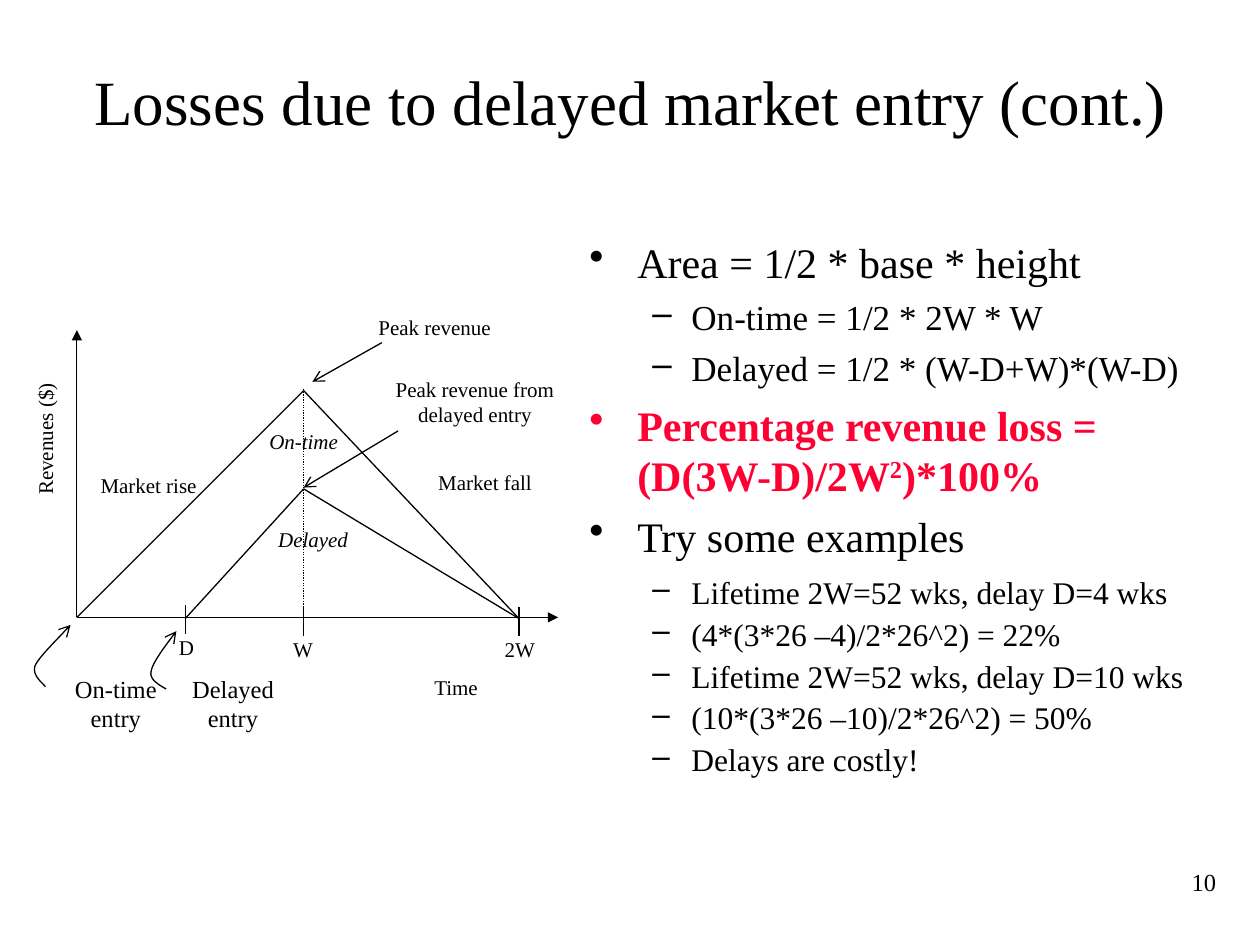
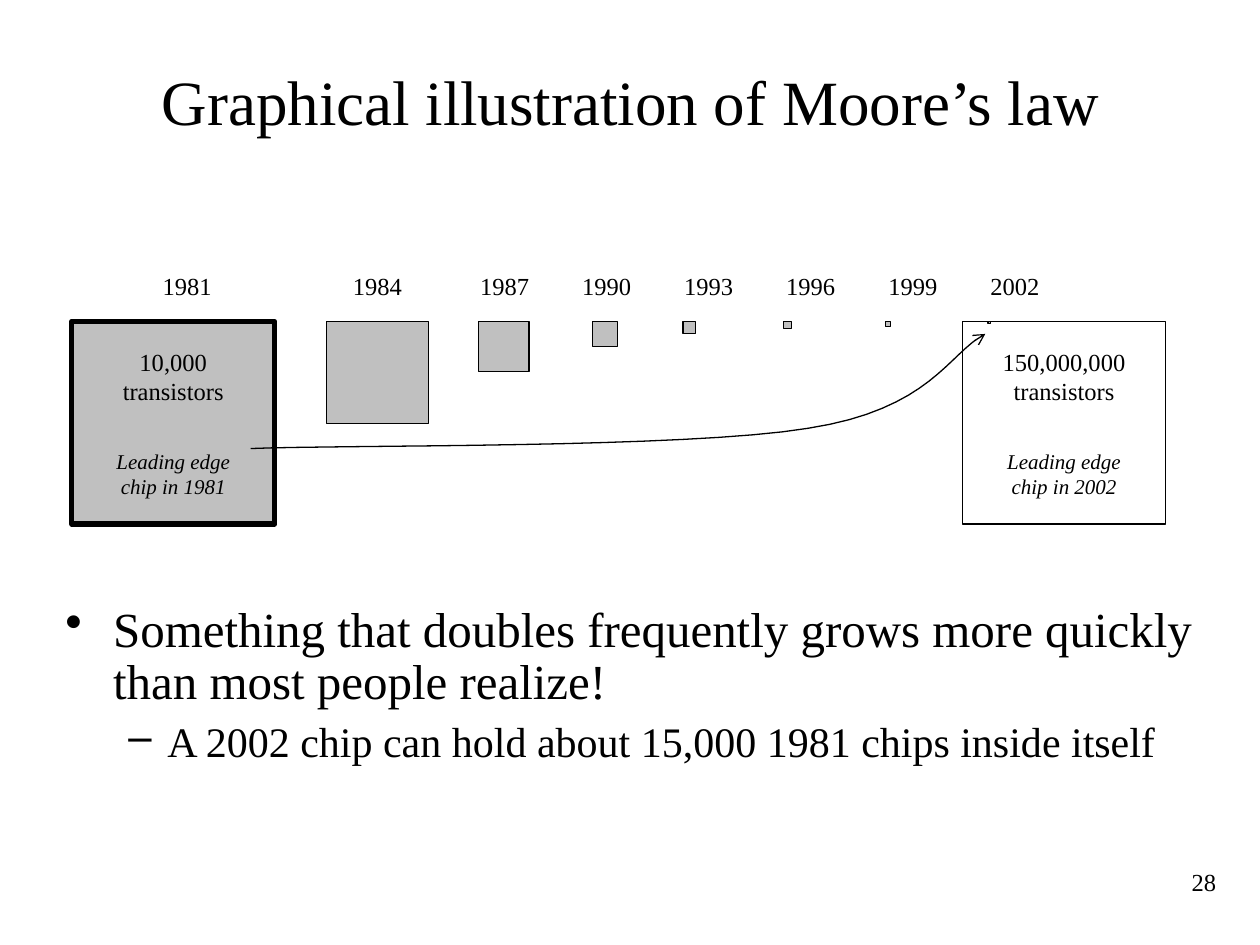
"""Build two slides: delayed market entry losses and Moore's law."""
from lxml import etree
from pptx import Presentation
from pptx.dml.color import RGBColor
from pptx.enum.dml import MSO_LINE
from pptx.enum.shapes import MSO_CONNECTOR, MSO_SHAPE
from pptx.enum.text import MSO_ANCHOR, PP_ALIGN
from pptx.oxml.ns import qn
from pptx.util import Inches, Pt

LEFT, CENTER, RIGHT = PP_ALIGN.LEFT, PP_ALIGN.CENTER, PP_ALIGN.RIGHT
TOP, MIDDLE = MSO_ANCHOR.TOP, MSO_ANCHOR.MIDDLE
STRAIGHT, RECTANGLE, DOTS = MSO_CONNECTOR.STRAIGHT, MSO_SHAPE.RECTANGLE, MSO_LINE.ROUND_DOT
FONT = "Times New Roman"
COLORS = {"ink": "000000", "accent": "FF0033", "chip": "C0C0C0"}
INK = RGBColor.from_string(COLORS["ink"])
BULLETS = {0: ("•", 0.38, -0.38), 1: ("–", 0.81, -0.31)}
BODY_INSETS = (0.1, 0.05)


def write(page, at, paras, size=12, align=CENTER, italic=False, insets=(0, 0), anchor=TOP):
    box = page.shapes.add_textbox(*map(Inches, at))
    frame = box.text_frame
    frame.word_wrap = True
    frame.vertical_anchor = anchor
    frame.margin_left = frame.margin_right = Inches(insets[0])
    frame.margin_top = frame.margin_bottom = Inches(insets[1])
    for index, item in enumerate(paras):
        item = item if isinstance(item, dict) else {"text": item}
        para = frame.paragraphs[0] if index == 0 else frame.add_paragraph()
        para.alignment = align
        color = COLORS[item.get("color", "ink")]
        if "level" in item:
            mark, margin, indent = BULLETS[item["level"]]
            para.level = item["level"]
            props = para._p.get_or_add_pPr()
            props.set("marL", str(Inches(margin)))
            props.set("indent", str(Inches(indent)))
            tint = etree.SubElement(props, qn("a:buClr"))
            etree.SubElement(tint, qn("a:srgbClr")).set("val", color)
            etree.SubElement(props, qn("a:buChar")).set("char", mark)
        if "line" in item:
            para.line_spacing = item["line"]
        if index and "before" in item:
            para.space_before = Pt(item["before"])
        parts = item["text"] if isinstance(item["text"], tuple) else (item["text"],)
        for number, part in enumerate(parts):
            span = para.add_run()
            span.text = part
            span.font.name = FONT
            span.font.size = Pt(item.get("size", size))
            span.font.bold = item.get("bold", False)
            span.font.italic = italic
            span.font.color.rgb = RGBColor.from_string(color)
            if number % 2:
                span._r.get_or_add_rPr().set("baseline", "30000")
    return box


def draw_line(page, points, head=None, dash=None, steps=16):
    ends = [(Inches(x), Inches(y)) for x, y in points]
    if len(ends) == 2:
        line = page.shapes.add_connector(STRAIGHT, *ends[0], *ends[1])
        etree.SubElement(line._element.spPr, qn("a:effectLst"))
    else:
        curve = []
        for start in range(0, len(ends) - 1, 3):
            for step in range(1, steps + 1):
                t = step / steps
                weights = ((1 - t) ** 3, 3 * t * (1 - t) ** 2, 3 * t * t * (1 - t), t ** 3)
                controls = ends[start:start + 4]
                curve.append(tuple(sum(w * c[axis] for w, c in zip(weights, controls))
                                   for axis in (0, 1)))
        builder = page.shapes.build_freeform(*ends[0])
        builder.add_line_segments(curve, close=False)
        line = builder.convert_to_shape()
        line.fill.background()
        line.shadow.inherit = False
    line.line.color.rgb = INK
    line.line.width = Pt(0.75)
    if dash:
        line.line.dash_style = dash
    if head:
        etree.SubElement(line.line._get_or_add_ln(), qn("a:tailEnd")).set("type", head)


deck = Presentation()
deck.slide_width, deck.slide_height = Inches(10), Inches(7.5)
pages = []
for title, number in [("Losses due to delayed market entry (cont.)", "10"),
                      ("Graphical illustration of Moore’s law", "28")]:
    page = deck.slides.add_slide(deck.slide_layouts[6])
    write(page, (8.75, 6.83, 1, 0.5), [number], 14, RIGHT, insets=BODY_INSETS)
    write(page, (0.42, 0.17, 9.17, 1.25), [title], 36, insets=(0, 0.05), anchor=MIDDLE)
    pages.append(page)
market, moore = pages

write(market, (4.58, 1.83, 5, 3.08), [
    {"text": "Area = 1/2 * base * height", "level": 0, "size": 24},
    {"text": "On-time = 1/2 * 2W * W", "level": 1, "size": 20, "before": 5},
    {"text": "Delayed = 1/2 * (W-D+W)*(W-D)", "level": 1, "size": 20, "before": 5},
    {"text": ("Percentage revenue loss = (D(3W-D)/2W", "2", ")*100%"), "level": 0,
     "size": 24, "before": 6, "color": "accent", "bold": True},
    {"text": "Try some examples", "level": 0, "size": 24, "before": 6},
], align=LEFT, insets=BODY_INSETS)
examples = ["Lifetime 2W=52 wks, delay D=4 wks", "(4*(3*26 –4)/2*26^2) = 22%",
            "Lifetime 2W=52 wks, delay D=10 wks", "(10*(3*26 –10)/2*26^2) = 50%",
            "Delays are costly!"]
write(market, (4.58, 4.5, 5, 2.08),
      [{"text": text, "level": 1, "before": 4.5, "line": 0.9 if index else 1.0}
       for index, text in enumerate(examples)], 18, LEFT, insets=BODY_INSETS)

origin, on_time_peak, delayed_peak = (0.61, 4.9), (2.41, 3.1), (2.41, 3.88)
delayed_start, market_end = (1.47, 4.91), (4.12, 4.91)
for axis_end in [(4.43, 4.9), (0.61, 2.62)]:
    draw_line(market, [origin, axis_end], "triangle")
draw_line(market, [(2.41, 4.9), (2.41, 3.09)], dash=DOTS)
for start, peak in [(origin, on_time_peak), (delayed_start, delayed_peak)]:
    draw_line(market, [start, peak])
    draw_line(market, [peak, market_end])
for x, top in [(1.47, 4.8), (2.41, 4.82), (4.12, 4.82)]:
    draw_line(market, [(x, top), (x, top + 0.23)])
for pointer in [
    [(3.03, 2.72), (2.48, 3.03)],
    [(3.16, 3.42), (2.41, 3.87)],
    [(0.36, 5.45), (0.34, 5.42), (0.25, 5.36), (0.28, 5.28),
     (0.32, 5.2), (0.5, 5.03), (0.56, 4.96)],
    [(1.32, 5.47), (1.29, 5.45), (1.18, 5.4), (1.2, 5.33),
     (1.21, 5.25), (1.35, 5.08), (1.4, 5.01)],
]:
    draw_line(market, pointer, "arrow")

for at, text in [
    ((2.63, 2.5, 1.64, 0.28), "Peak revenue"),
    ((2.95, 2.99, 1.64, 0.54), "Peak revenue from delayed entry"),
    ((0.75, 3.75, 0.86, 0.55), "Market rise"),
    ((3.42, 3.73, 0.86, 0.55), "Market fall"),
    ((1.33, 5.04, 0.3, 0.24), "D"),
    ((2.25, 5.05, 0.31, 0.31), "W"),
    ((3.97, 5.05, 0.31, 0.31), "2W"),
    ((2.8, 5.35, 1.64, 0.31), "Time"),
]:
    write(market, at, [text])
write(market, (2.02, 3.4, 0.78, 0.31), ["On-time"], italic=True)
write(market, (1.94, 4.18, 1.09, 0.31), ["Delayed"], italic=True)
for left, name in [(0.47, "On-time"), (1.4, "Delayed")]:
    write(market, (left, 5.35, 0.9, 0.5), [name, "entry"], 14)
write(market, (-0.41, 3.33, 1.64, 0.31), ["Revenues ($)"]).rotation = 270

chip_top, chip_side, pitch = 2.55, 1.61, 0.81
chips = [(0.57, chip_side), (2.59, 0.81), (3.8, 0.4), (4.7, 0.2),
         (5.42, 0.1), (6.22, 0.06), (7.03, 0.04), (7.84, 0.02), (7.64, chip_side)]
for index, (left, side) in enumerate(chips):
    chip = moore.shapes.add_shape(RECTANGLE, Inches(left), Inches(chip_top),
                                  Inches(side), Inches(side))
    chip.shadow.inherit = False
    chip.line.color.rgb = INK
    chip.line.width = Pt(0.75 if index else 3)
    if index == len(chips) - 1:
        chip.fill.background()
    else:
        chip.fill.solid()
        chip.fill.fore_color.rgb = RGBColor.from_string(COLORS["chip"])

label_lefts = [1.08, 2.59] + [3.6 + pitch * step for step in range(6)]
for index, left in enumerate(label_lefts):
    write(moore, (left, 2.15, pitch, 0.4), [str(1981 + 3 * index)], 14)
for left, count, year in [(0.57, "10,000", 1981), (7.64, "150,000,000", 2002)]:
    write(moore, (left, 3.56, chip_side, 0.61), ["Leading edge", f"chip in {year}"], italic=True)
    write(moore, (left, 2.75, chip_side, 0.61), [count, "transistors"], 14)
draw_line(moore, [(1.99, 3.56), (2.72, 3.53), (5.44, 3.56), (6.41, 3.4),
                  (7.39, 3.25), (7.53, 2.8), (7.82, 2.65)], "arrow")
write(moore, (0.42, 4.75, 9.17, 1.42), [
    {"text": "Something that doubles frequently grows more quickly than most people realize!",
     "level": 0, "size": 28, "line": 0.9},
    {"text": "A 2002 chip can hold about 15,000 1981 chips inside itself",
     "level": 1, "size": 24, "before": 6, "line": 0.9},
], align=LEFT, insets=BODY_INSETS)

deck.save("out.pptx")
